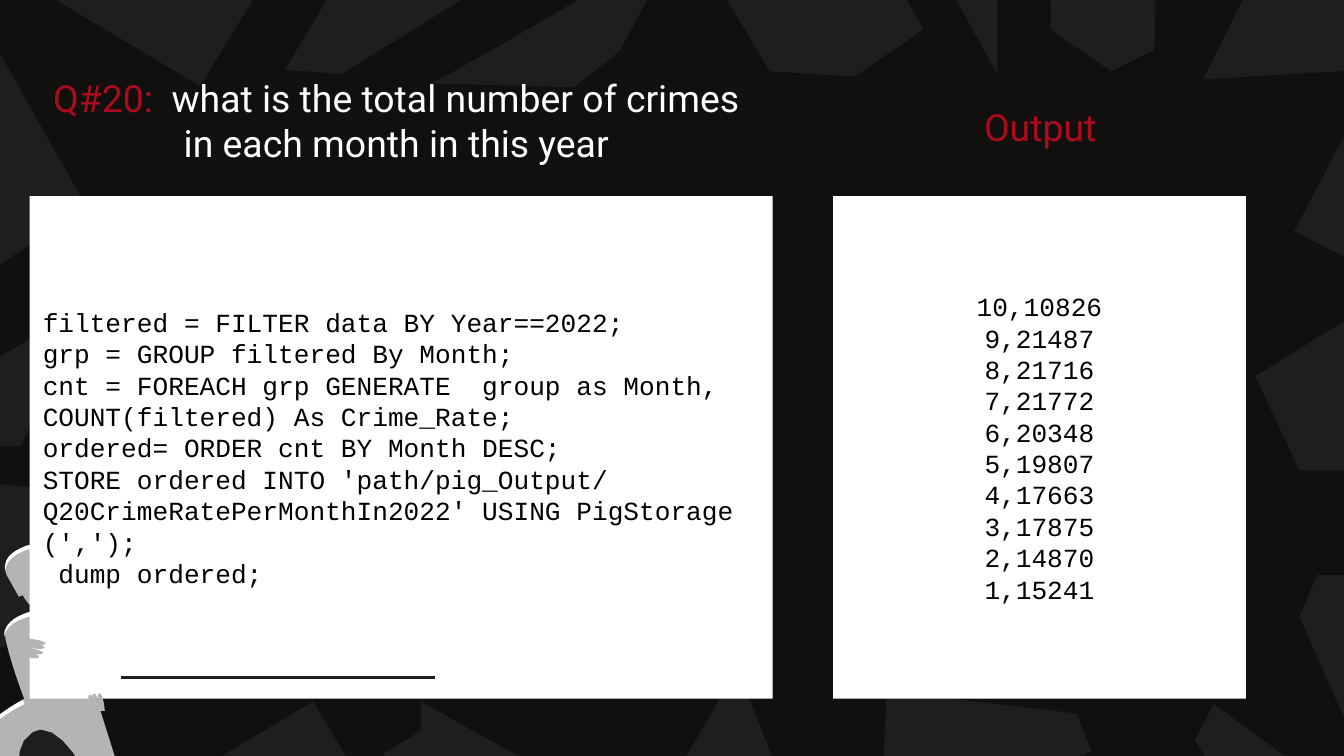
from pptx import Presentation
from pptx.dml.color import RGBColor
from pptx.enum.shapes import MSO_CONNECTOR, MSO_SHAPE
from pptx.enum.text import MSO_ANCHOR, PP_ALIGN
from pptx.oxml.ns import qn
from pptx.util import Inches, Pt
from lxml.etree import SubElement

BLACK, CHARCOAL, GREY, WHITE, RED = "12100E", "201E1D", "B4B4B4", "FFFFFF", "AA0B1E"

SHARDS = [
    "10.1,3.5 9.67,3.5 9.34,2.8 10.1,2.33",
    "8.95,0.59 9.4,-0.31 9.29,-0.58 10,-0.58 10,0.53",
    "8.27,0.53 7.82,0.22 7.81,-0.96 8.61,-0.96 8.59,0.37",
    "7.42,0.55 6.77,-0.62 7.42,-0.62",
    "6.36,0.57 5.73,0.53 5.11,-0.5 5.36,-0.96 6.22,-0.96 6.87,0.22",
    "6.72,6.17 6.57,5.71 6.6,5.14 8.01,5.31 8.12,5.59",
    "4.27,0.65 3.19,0.62 3.27,0.62/4.67,-0.22/4.67,-0.22 "
    "4.67,-0.22/4.54,-0.87/4.62,-0.87 5.28,-0.87 4.61,0.38",
    "2.54,0.55 2.12,0.52 3.01,-0.97 3.9,-0.97 3.95,-0.32",
    "9.63,1.72 10.04,0.94 10.04,1.93",
    "1.49,0.64 0.1,-0.19 -0.2,-0.15 -0.2,-0.85 2.4,-0.85",
    "-0.48,2.27 -0.48,0.13 -0.18,0.08 0.65,1.55",
    "-0.26,3.32 -0.26,2.81 0.71,2.23 0.15,3.32",
    "0.02,4.82 -0.24,4.67 -0.24,3.85 -0.14,3.59 0.47,3.65 0.69,4.39",
    "0.06,5.88 0.06,5.88/0,5.3/0.06,5.28 0.14,5.28/0.97,5.79/0.97,5.79 1,5.88",
    "1.02,6.09 1,6.01 2.33,5.22 2.85,6.09",
    "3.37,6.48 2.85,5.61 3.13,5.44 3.13,5.22 4.31,5.88 4.32,6.48",
    "4.96,5.88 5.49,4.97 5.49,4.97/5.81,5.82/5.85,5.88",
    "9.24,6.07 8.89,5.51 9.03,5.24 9.94,5.9 9.94,6.07",
    "10,5.34 9.67,4.59 9.8,4.28 10,4.28",
]

FIGURE = (
    "0.26,4.05 0.3,4.05/0.35,4.06/0.39,4.1 0.47,4.16/0.49,4.29/0.43,4.4 "
    "0.45,4.43/0.46,4.46/0.48,4.49 0.6,4.48 0.67,4.48/0.72,4.53/0.72,4.59 "
    "0.72,5.2 0.81,5.49/0.9,5.78/1,6.08 1.07,6.1/1.2,6.15/1.19,6.18 "
    "1.19,6.19 0.84,6.19 0.84,6.19/0.57,5.43/0.31,5.43 "
    "0.29,5.43/0.26,5.44/0.24,5.45 -0.03,5.62/0.33,6.19/0.33,6.19 "
    "-0.13,6.19 -0.11,6.12/-0.02,6.11/0.05,6.1 "
    "0.05,6.1/-0.09,5.83/-0.17,5.62 -0.25,5.42/0.18,5.2/0.18,5.2 "
    "0.18,5.2/0.08,4.94/0.04,4.75 0,4.57/0.32,4.53/0.32,4.53 "
    "0.31,4.51/0.3,4.49/0.29,4.47 0.22,4.5 0.2,4.48/0.18,4.45/0.17,4.43 "
    "0.16,4.43/0.15,4.44/0.14,4.44 0.05,4.28 0.03,4.23/0.04,4.21/0.04,4.2 "
    "0.05,4.11/0.18,4.07/0.2,4.06 0.21,4.06/0.23,4.05/0.26,4.05"
)

HIGHLIGHTS = [
    "0.04,4.24 0.05,4.14/0.18,4.1/0.2,4.09 0.22,4.09/0.32,4.07/0.39,4.13 "
    "0.44,4.17/0.46,4.22/0.46,4.28 0.47,4.21/0.44,4.14/0.39,4.1 "
    "0.32,4.04/0.22,4.06/0.2,4.06 0.18,4.07/0.05,4.11/0.04,4.2 "
    "0.04,4.21/0.03,4.22/0.04,4.24",
    "0.31,4.54 0.31,4.55/0.32,4.56/0.32,4.57 0.32,4.57/0.05,4.59/0.03,4.74 "
    "0.02,4.59/0.25,4.54/0.31,4.54",
    "0.17,5.21 0.18,5.23/0.18,5.24/0.18,5.24 0.18,5.24/-0.16,5.4/-0.18,5.59 "
    "-0.2,5.41/0.11,5.24/0.17,5.21",
]

LEFT_FINGERS = [(4.75, 0.35), (4.78, 0.34), (4.82, 0.33), (4.85, 0.3)]
RIGHT_FINGERS = [(0.74, 5.16), (0.7, 5.16), (0.67, 5.17), (0.65, 5.21)]

CODE = [
    "filtered = FILTER data BY Year==2022;",
    "grp = GROUP filtered By Month;",
    "cnt = FOREACH grp GENERATE  group as Month, COUNT(filtered) As Crime_Rate;",
    "ordered= ORDER cnt BY Month DESC;",
    "STORE ordered INTO 'path/pig_Output/ Q20CrimeRatePerMonthIn2022' USING PigStorage (',');",
    " dump ordered;",
]
OUTPUT = ["10,10826", "9,21487", "8,21716", "7,21772", "6,20348",
          "5,19807", "4,17663", "3,17875", "2,14870", "1,15241"]


def rgb(value):
    return RGBColor.from_string(value)


def outline_points(outline, steps=10):
    points = []
    for part in outline.split():
        pts = [tuple(map(float, pair.split(","))) for pair in part.split("/")]
        if len(pts) == 1:
            points += pts
            continue
        controls = [points[-1], *pts]
        for i in range(1, steps + 1):
            t = i / steps
            weights = ((1 - t) ** 3, 3 * t * (1 - t) ** 2, 3 * t * t * (1 - t), t ** 3)
            points.append(tuple(sum(w * c[axis] for w, c in zip(weights, controls))
                                for axis in (0, 1)))
    return [(Inches(x), Inches(y)) for x, y in points]


class SlideBuilder:
    code_font, heading_font = "Courier New", "Roboto"
    code_size, heading_size = Pt(14), Pt(20)

    def __init__(self, slide):
        self.slide = slide
        slide.background.fill.solid()
        slide.background.fill.fore_color.rgb = rgb(BLACK)

    def paint(self, sp, color):
        sp.shadow.inherit = False
        sp.fill.solid()
        sp.fill.fore_color.rgb = rgb(color)
        sp.line.fill.background()

    def frame(self, sp):
        tf = sp.text_frame
        tf.word_wrap = True
        tf.vertical_anchor = MSO_ANCHOR.MIDDLE
        tf.margin_left = tf.margin_right = tf.margin_top = tf.margin_bottom = Inches(0.1)
        return tf

    def style(self, r, font, size, color):
        r.font.name, r.font.size = font, size
        r.font.color.rgb = rgb(color)

    def freeform(self, outline, color):
        start, *rest = outline_points(outline)
        builder = self.slide.shapes.build_freeform(*start)
        builder.add_line_segments(rest, close=True)
        self.paint(builder.convert_to_shape(), color)

    def panel(self, x, y, w, h, lines, align):
        sp = self.slide.shapes.add_shape(
            MSO_SHAPE.RECTANGLE, Inches(x), Inches(y), Inches(w), Inches(h))
        self.paint(sp, WHITE)
        tf = self.frame(sp)
        tf.text = "\n".join(lines)
        for p in tf.paragraphs:
            p.alignment = align
            for r in p.runs:
                self.style(r, self.code_font, self.code_size, "000000")

    def heading(self, x, y, w, h, *parts):
        sp = self.slide.shapes.add_textbox(Inches(x), Inches(y), Inches(w), Inches(h))
        p = self.frame(sp).paragraphs[0]
        p.alignment = PP_ALIGN.CENTER
        for text, color in parts:
            r = p.add_run()
            r.text = text
            self.style(r, self.heading_font, self.heading_size, color)

    def rule(self, x1, x2, y):
        line = self.slide.shapes.add_connector(
            MSO_CONNECTOR.STRAIGHT, Inches(x1), Inches(y), Inches(x2), Inches(y))
        line.line.color.rgb = rgb(CHARCOAL)
        line.line.width = Pt(1.5)
        SubElement(line._element.spPr, qn("a:effectLst"))


def main():
    prs = Presentation()
    prs.slide_width = Inches(10)
    prs.slide_height = prs.slide_width * 9 // 16
    s = SlideBuilder(prs.slides.add_slide(prs.slide_layouts[6]))

    for shard in SHARDS:
        s.freeform(shard, CHARCOAL)
    s.freeform(FIGURE, GREY)
    for highlight in HIGHLIGHTS:
        s.freeform(highlight, WHITE)

    s.panel(0.22, 1.46, 5.53, 3.74, CODE, PP_ALIGN.LEFT)
    for y, tip in LEFT_FINGERS:
        s.freeform(f"0.21,{y} 0.21,{y}/{tip},{y + 0.02}/{tip - 0.01},{y + 0.04} "
                   f"{tip - 0.02},{y + 0.06}/0.21,{y + 0.04}/0.21,{y + 0.04}", GREY)
    for x, top in RIGHT_FINGERS:
        s.freeform(f"{x},{top} {x + 0.03},{top}/{x + 0.04},5.29/{x + 0.04},5.29 "
                   f"{x},5.29 {x},5.29/{x - 0.03},{top}/{x},{top}", GREY)
    s.rule(0.9, 3.24, 5.04)
    s.panel(6.2, 1.46, 3.07, 3.74, OUTPUT, PP_ALIGN.CENTER)

    s.heading(0.21, 0.58, 5.48, 0.63, ("Q#20: ", RED),
              (" what is the total number of crimes in each month in this year", WHITE))
    s.heading(6.28, 0.63, 2.92, 0.63, ("Output", RED))
    prs.save("out.pptx")


if __name__ == "__main__":
    main()
